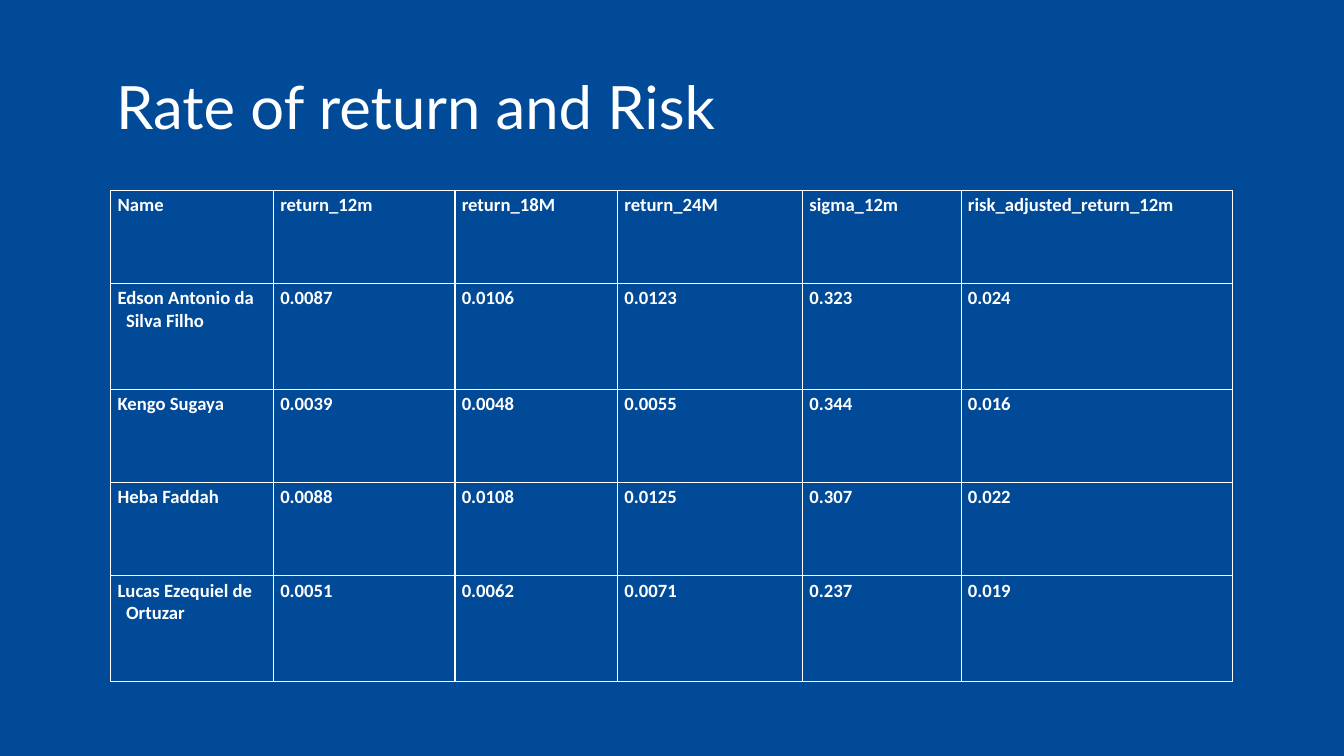
from pptx import Presentation
from pptx.dml.color import RGBColor
from pptx.enum.text import MSO_ANCHOR as Anchor, MSO_AUTO_SIZE as AutoSize, PP_ALIGN as Align
from pptx.oxml import parse_xml
from pptx.oxml.ns import nsdecls
from pptx.util import Cm, Pt

BLUE, WHITE = "004A98", "FFFFFF"
COLUMN_WIDTHS = [6.15, 6.86, 6.15, 6.99, 5.99, 10.26]
ROW_HEIGHTS = [3.53, 3.99, 3.53, 3.53, 3.99]
RETURNS = [
    ["Name", "return_12m", "return_18M", "return_24M", "sigma_12m", "risk_adjusted_return_12m"],
    ["Edson Antonio da\nSilva Filho", "0.0087", "0.0106", "0.0123", "0.323", "0.024"],
    ["Kengo Sugaya", "0.0039", "0.0048", "0.0055", "0.344", "0.016"],
    ["Heba Faddah", "0.0088", "0.0108", "0.0125", "0.307", "0.022"],
    ["Lucas Ezequiel de\nOrtuzar", "0.0051", "0.0062", "0.0071", "0.237", "0.019"],
]


def rgb(color):
    return RGBColor.from_string(color)


def style_font(font, name, size, bold=False):
    font.name, font.size, font.bold = name, Pt(size), bold
    font.color.rgb = rgb(WHITE)


def add_title(slide, text):
    title = slide.shapes.title
    title.left, title.top, title.width, title.height = Cm(4.39), Cm(2.64), Cm(33.78), Cm(2.92)
    frame = title.text_frame
    frame.text = text
    frame.margin_left = frame.margin_top = frame.margin_right = frame.margin_bottom = 0
    frame.word_wrap = True
    frame.auto_size = AutoSize.SHAPE_TO_FIT_TEXT
    frame.vertical_anchor = Anchor.TOP
    heading = frame.paragraphs[0]
    heading.alignment = Align.LEFT
    heading.line_spacing = Pt(76.8)
    style_font(heading.font, "Lato", 64)


def add_borders(cell):
    properties = cell._tc.get_or_add_tcPr()
    for side in "LRTB":
        properties.append(parse_xml(
            f'<a:ln{side} {nsdecls("a")} w="{Pt(1.5)}"><a:solidFill>'
            f'<a:srgbClr val="{WHITE}"/></a:solidFill></a:ln{side}>'))


def fill_cell(cell, text):
    """Write the text, with every line after the first slightly indented."""
    cell.text = text
    add_borders(cell)
    cell.fill.background()
    for number, line in enumerate(cell.text_frame.paragraphs):
        style_font(line.font, "Calibri", 20, bold=True)
        if number:
            line._p.get_or_add_pPr().set("marL", str(Cm(0.32)))


def add_returns_table(slide):
    table = slide.shapes.add_table(
        len(ROW_HEIGHTS), len(COLUMN_WIDTHS), Cm(4.19), Cm(7.19),
        Cm(sum(COLUMN_WIDTHS)), Cm(sum(ROW_HEIGHTS))).table
    table.first_row = table.horz_banding = False
    for column, width in zip(table.columns, COLUMN_WIDTHS):
        column.width = Cm(width)
    for row, height, texts in zip(table.rows, ROW_HEIGHTS, RETURNS):
        row.height = Cm(height)
        for cell, text in zip(row.cells, texts):
            fill_cell(cell, text)


def main():
    deck = Presentation()
    deck.slide_width, deck.slide_height = Cm(50.8), Cm(28.58)
    slide = deck.slides.add_slide(deck.slide_layouts[5])
    slide.background.fill.solid()
    slide.background.fill.fore_color.rgb = rgb(BLUE)
    add_title(slide, "Rate of return and Risk")
    add_returns_table(slide)
    deck.save("out.pptx")


if __name__ == "__main__":
    main()
